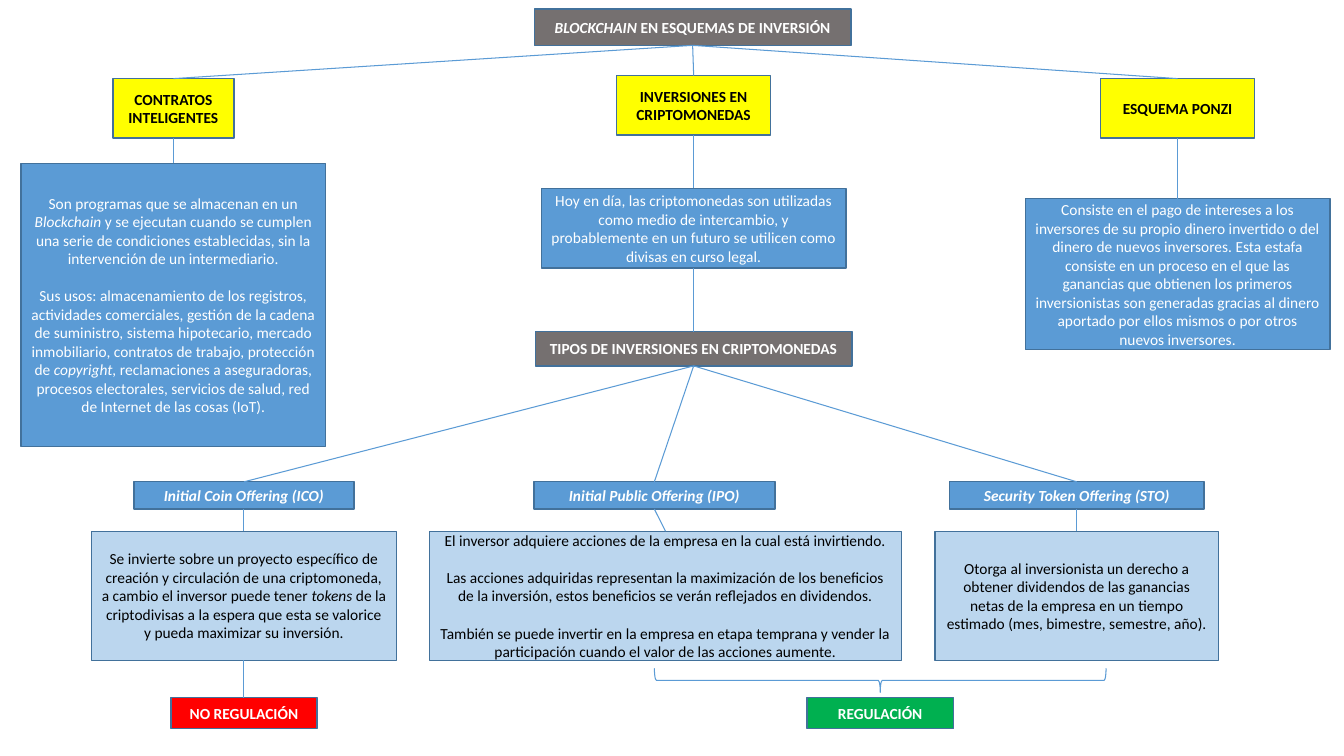
from lxml import etree
from pptx import Presentation
from pptx.dml.color import RGBColor
from pptx.enum.shapes import MSO_CONNECTOR as Conn, MSO_SHAPE as Shape
from pptx.enum.text import MSO_ANCHOR as Anchor, MSO_AUTO_SIZE as Fit, PP_ALIGN as Align
from pptx.oxml.ns import qn
from pptx.util import Inches, Pt

HUES = {"gray": "757070", "yellow": "FFFF00", "blue": "5B9BD5", "pale": "BBD6EE",
        "red": "FF0000", "green": "00B050", "edge": "42719B",
        "white": "FFFFFF", "black": "000000"}

# kind: fill, text colour, bold
KINDS = {
    "head": ("gray", "white", True),
    "topic": ("yellow", "black", True),
    "note": ("blue", "white", False),
    "type": ("blue", "white", True),
    "detail": ("pale", "black", False),
    "no": ("red", "white", True),
    "yes": ("green", "white", True),
}

# Middle of each column, and top and height of each shared row
LEFT, MID, RIGHT = 1.72, 6.88, 11.68
ICO, IPO, STO = 2.42, 6.49, 10.68
TYPE, DETAIL, RULE = (4.78, 0.27), (5.27, 1.28), (6.92, 0.31)
WIDE = 3.02

# name: kind, middle, (top, height), width, paragraphs; *stars* mark italics
BOXES = {
    "root": ("head", 6.87, (0.09, 0.36), 3.14,
             ["*BLOCKCHAIN* EN ESQUEMAS DE INVERSIÓN"]),
    "smart": ("topic", LEFT, (0.78, 0.59), 1.2, ["CONTRATOS INTELIGENTES"]),
    "coins": ("topic", MID, (0.75, 0.59), 1.53, ["INVERSIONES EN CRIPTOMONEDAS"]),
    "ponzi": ("topic", RIGHT, (0.78, 0.59), 1.53, ["ESQUEMA PONZI"]),
    "smart note": ("note", LEFT, (1.62, 2.81), WIDE, [
        "Son programas que se almacenan en un *Blockchain* y se ejecutan cuando se "
        "cumplen una serie de condiciones establecidas, sin la intervención de un "
        "intermediario.",
        "Sus usos: almacenamiento de los registros, actividades comerciales, gestión "
        "de la cadena de suministro, sistema hipotecario, mercado inmobiliario, "
        "contratos de trabajo, protección de *copyright,* reclamaciones a "
        "aseguradoras, procesos electorales, servicios de salud, red de Internet de "
        "las cosas (IoT)."]),
    "coins note": ("note", MID, (1.87, 0.79), WIDE, [
        "Hoy en día, las criptomonedas son utilizadas como medio de intercambio, y "
        "probablemente en un futuro se utilicen como divisas en curso legal."]),
    "ponzi note": ("note", RIGHT, (1.97, 1.5), WIDE, [
        "Consiste en el pago de intereses a los inversores de su propio dinero "
        "invertido o del dinero de nuevos inversores. Esta estafa consiste en un "
        "proceso en el que las ganancias que obtienen los primeros inversionistas son "
        "generadas gracias al dinero aportado por ellos mismos o por otros nuevos "
        "inversores."]),
    "types": ("head", MID, (3.29, 0.34), 3.14,
              ["TIPOS DE INVERSIONES EN CRIPTOMONEDAS"]),
    "ico": ("type", ICO, TYPE, 2.18, ["*Initial Coin Offering (ICO)*"]),
    "ipo": ("type", IPO, TYPE, 2.39, ["*Initial Public Offering (IPO)*"]),
    "sto": ("type", STO, TYPE, 2.52, ["*Security Token Offering (STO)*"]),
    "ico note": ("detail", ICO, DETAIL, WIDE, [
        "Se invierte sobre un proyecto específico de creación y circulación de una "
        "criptomoneda, a cambio el inversor puede tener *tokens* de la criptodivisas "
        "a la espera que esta se valorice y pueda maximizar su inversión."]),
    "ipo note": ("detail", 6.6, DETAIL, 4.68, [
        "El inversor adquiere acciones de la empresa en la cual está invirtiendo.",
        "Las acciones adquiridas representan la maximización de los beneficios de la "
        "inversión, estos beneficios se verán reflejados en dividendos.",
        "También se puede invertir en la empresa en etapa temprana y vender la "
        "participación cuando el valor de las acciones aumente."]),
    "sto note": ("detail", STO, DETAIL, 2.81, [
        "Otorga al inversionista un derecho a obtener dividendos de las ganancias "
        "netas de la empresa en un tiempo estimado (mes, bimestre, semestre, año)."]),
    "free": ("no", ICO, RULE, 1.45, ["NO REGULACIÓN"]),
    "ruled": ("yes", 8.73, RULE, 1.45, ["REGULACIÓN"]),
}

# parent: children
LINKS = {
    "root": ["smart", "coins", "ponzi"],
    "smart": ["smart note"], "coins": ["coins note"], "ponzi": ["ponzi note"],
    "coins note": ["types"],
    "types": ["ico", "ipo", "sto"],
    "ico": ["ico note"], "ipo": ["ipo note"], "sto": ["sto note"],
    "ico note": ["free"],
}


def color(name):
    """Give the named colour."""
    return RGBColor.from_string(HUES[name])


def stroke(shape, hue, width):
    """Set the colour and width of a line."""
    shape.line.color.rgb = color(hue)
    shape.line.width = Pt(width)


def write(shape, paras, ink="black", bold=False, size=11, font="Calibri"):
    """Fill a shape with centred paragraphs, one blank line's height apart."""
    frame = shape.text_frame
    frame.word_wrap = True
    frame.auto_size = Fit.NONE
    frame.vertical_anchor = Anchor.MIDDLE
    for i, text in enumerate(paras):
        para = frame.add_paragraph() if i else frame.paragraphs[0]
        para.alignment = Align.CENTER
        para.line_spacing = 1.0
        para.space_before = Pt(size * 1.22 if i else 0)
        for j, part in enumerate(text.split("*")):
            if part:
                run = para.add_run()
                run.text = part
                face = run.font
                face.name, face.size, face.bold = font, Pt(size), bold
                face.italic = j % 2 == 1
                face.color.rgb = color(ink)


def box(slide, name):
    """Place one box of the map; the root is the slide title."""
    kind, mid, (top, high), wide, paras = BOXES[name]
    fill, ink, bold = KINDS[kind]
    place = [Inches(n) for n in (mid - wide / 2, top, wide, high)]
    if name == "root":
        shape = slide.shapes.title
        shape.left, shape.top, shape.width, shape.height = place
    else:
        shape = slide.shapes.add_shape(Shape.RECTANGLE, *place)
        shape.shadow.inherit = False
    shape.fill.solid()
    shape.fill.fore_color.rgb = color(fill)
    stroke(shape, "edge", 1)
    write(shape, paras, ink=ink, bold=bold)
    return shape


def link(slide, above, below):
    """Join the bottom of one box to the top of another."""
    line = slide.shapes.add_connector(Conn.STRAIGHT, 0, 0, 0, 0)
    line.begin_connect(above, 2)
    line.end_connect(below, 0)
    stroke(line, "blue", 0.75)
    etree.SubElement(line._element.spPr, qn("a:effectLst"))


def brace(slide, mid, top, wide, high):
    """Draw a brace that points down, as a right brace turned a quarter."""
    shape = slide.shapes.add_shape(
        Shape.RIGHT_BRACE, Inches(mid - high / 2), Inches(top + high / 2 - wide / 2),
        Inches(high), Inches(wide))
    shape.rotation = 90
    shape.adjustments[0] = 0.08
    shape.shadow.inherit = False
    shape.fill.background()
    stroke(shape, "blue", 0.75)


deck = Presentation()
deck.slide_width, deck.slide_height = Inches(13.33), Inches(7.5)
slide = deck.slides.add_slide(deck.slide_layouts[5])
shapes = {name: box(slide, name) for name in BOXES}
for above, kids in LINKS.items():
    for below in kids:
        link(slide, shapes[above], shapes[below])
brace(slide, 8.73, 6.63, 4.48, 0.24)
deck.save("out.pptx")
